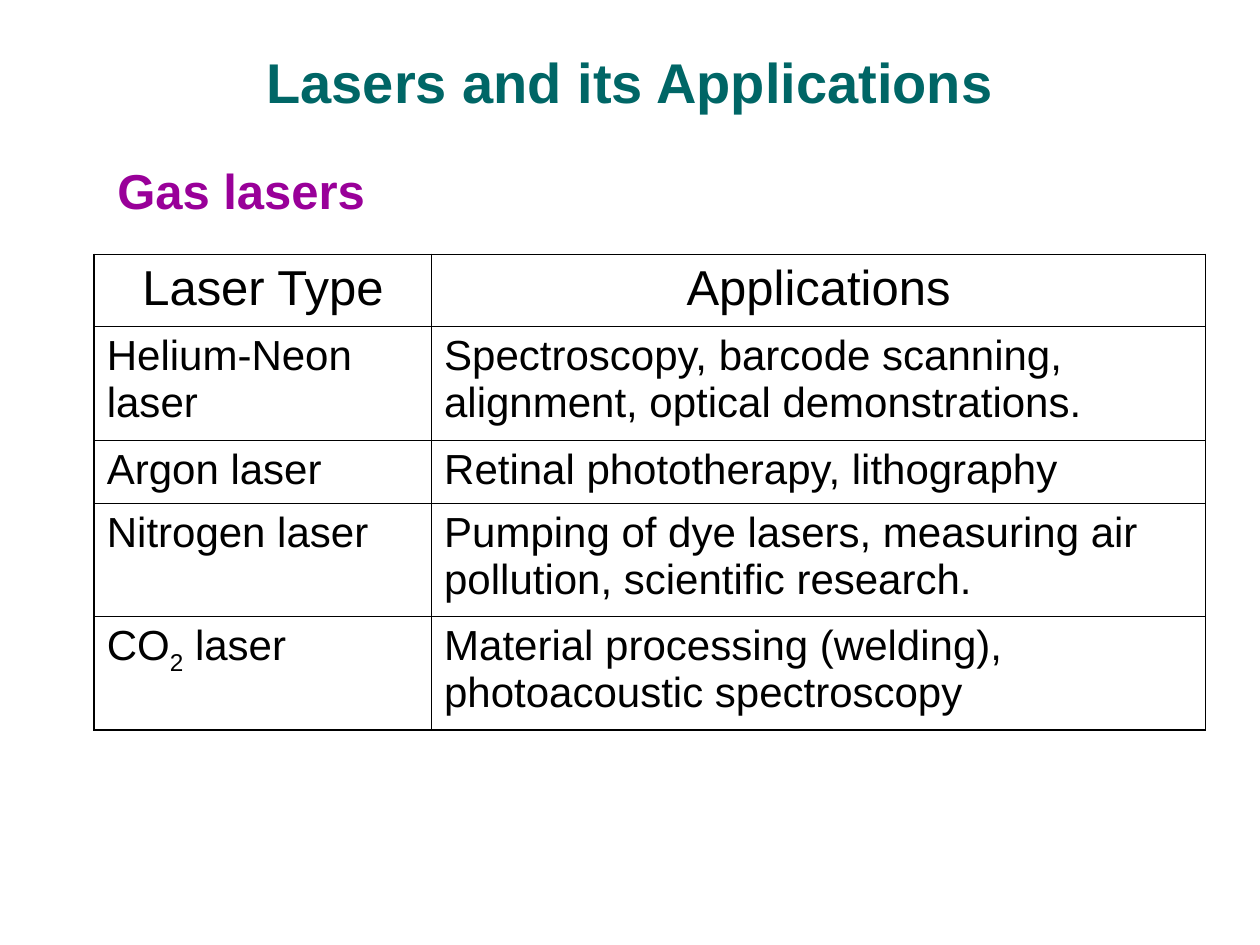
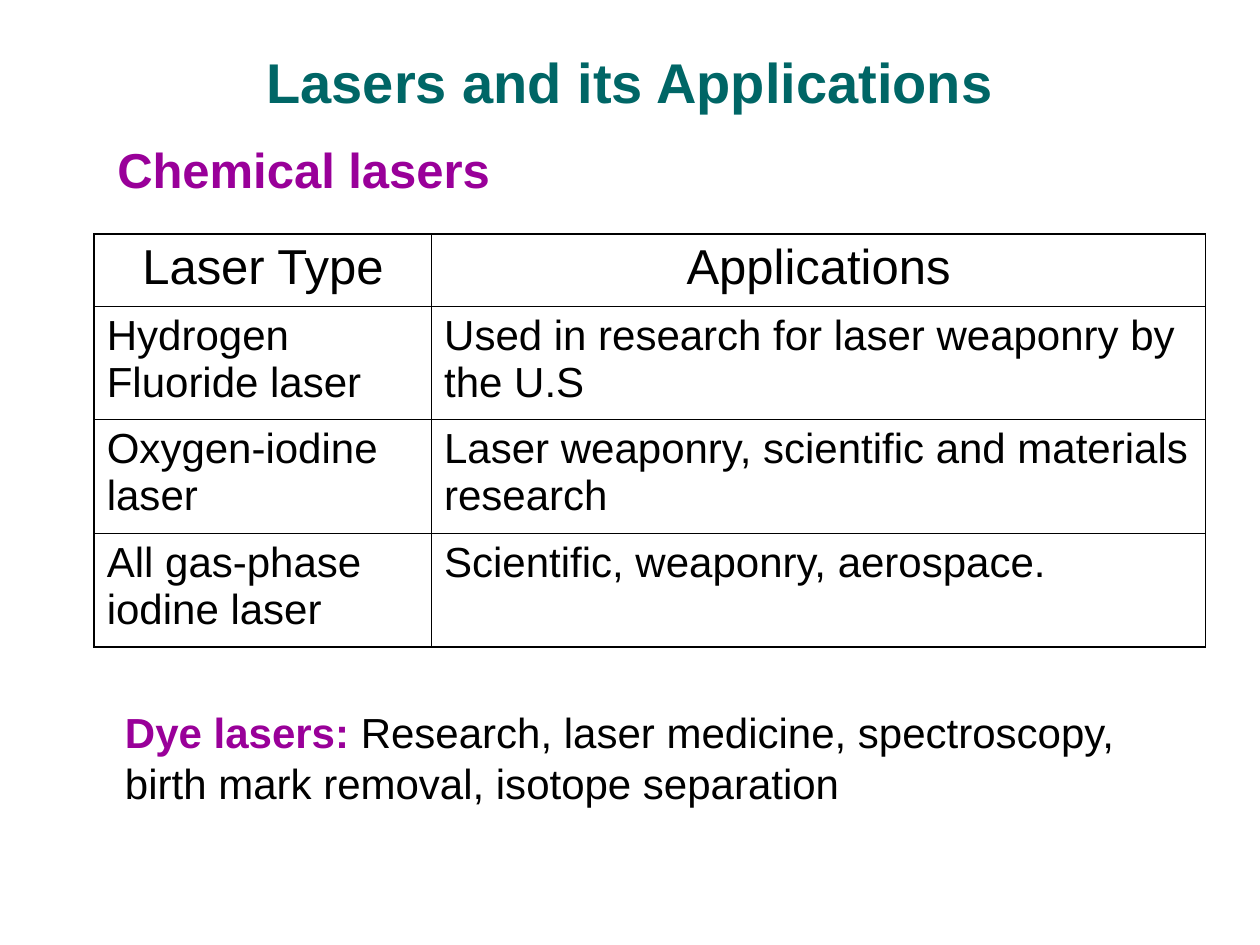
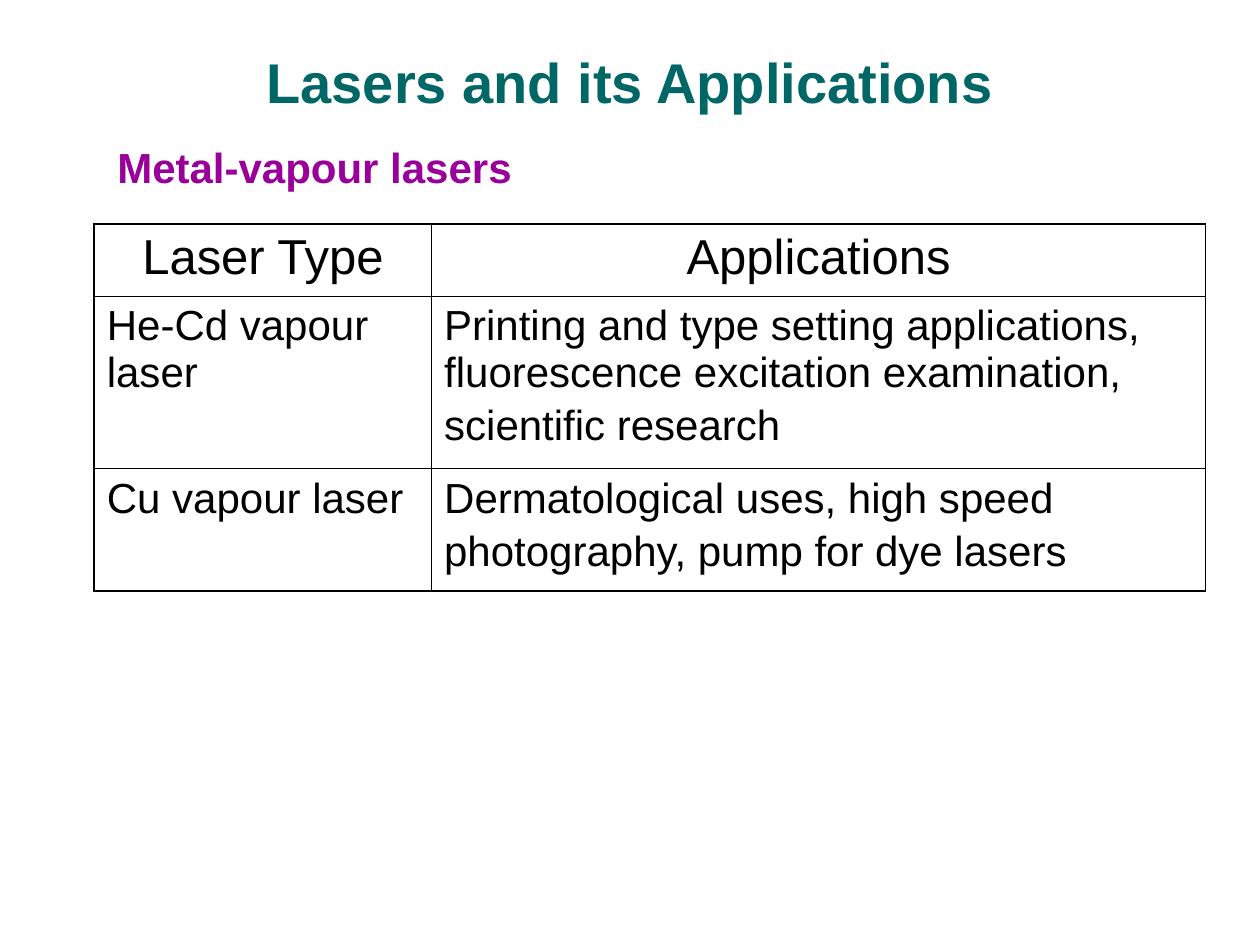
from pptx import Presentation
from pptx.dml.color import RGBColor
from pptx.enum.text import MSO_ANCHOR, MSO_AUTO_SIZE, PP_ALIGN
from pptx.oxml import parse_xml
from pptx.oxml.ns import nsdecls
from pptx.util import Cm, Pt

COLORS = {"title": "006666", "accent": "990099", "text": "000000"}
TITLE = "Lasers and its Applications"
HEADER = ("Laser Type", "Applications")
COLUMN_WIDTHS = (6.8, 15.6)
HEADER_HEIGHT = 1.45
HEADING_TO_TABLE = 1.8
OUTER_LINE, INNER_LINE = 1.08, 0.45

# Each row is height, laser type, applications; "|" separates runs.
GROUPS = [
    {
        "heading": "Gas lasers", "size": 28, "spacing": 0.8, "table_top": 5.13,
        "rows": [
            (2.29, "Helium-Neon laser",
             "Spectroscopy, barcode scanning, alignment, optical demonstrations."),
            (1.27, "Argon laser", "Retinal phototherapy, lithography"),
            (2.29, "Nitrogen laser",
             "Pumping of dye lasers, measuring air pollution, scientific research."),
            (2.29, "CO|2| laser",
             "Material processing (welding), photoacoustic spectroscopy"),
        ],
    },
    {
        "heading": "Chemical lasers", "size": 28, "spacing": 0.8, "table_top": 4.72,
        "rows": [
            (2.29, "Hydrogen Fluoride laser",
             "Used in research for laser weaponry by the U.S"),
            (2.29, "Oxygen-iodine laser",
             "Laser weaponry, scientific and materials research"),
            (2.29, "All gas-phase iodine laser", "Scientific, weaponry, aerospace."),
        ],
        "note": ("Dye lasers: ", "Research, laser medicine, spectroscopy, "
                 "birth mark removal, isotope separation"),
    },
    {
        "heading": "Metal-vapour lasers", "size": 24, "spacing": 1.0, "table_top": 4.52,
        "rows": [
            (3.48, "He-Cd vapour laser",
             "Printing and type setting applications, fluorescence excitation "
             "examination, scientific research| "),
            (2.46, "Cu vapour laser",
             "Dermatological uses, high speed photography, pump for dye lasers| "),
        ],
    },
]


def style_font(font, size, color, bold=False):
    font.name = "Arial"
    font.size = Pt(size)
    font.bold = bold
    font.color.rgb = RGBColor.from_string(COLORS[color])


def add_borders(cell, widths):
    """Draw the cell's borders; widths in points run left, right, top, bottom."""
    properties = cell._tc.get_or_add_tcPr()
    for side, width in zip("LRTB", widths):
        properties.append(parse_xml(
            f'<a:ln{side} {nsdecls("a")} w="{Pt(width)}"><a:solidFill>'
            f'<a:srgbClr val="{COLORS["text"]}"/></a:solidFill></a:ln{side}>'))


prs = Presentation()
prs.slide_width, prs.slide_height = Cm(25.4), Cm(19.05)

for group in GROUPS:
    slide = prs.slides.add_slide(prs.slide_layouts[1])

    title = slide.shapes.title
    title.left, title.top, title.width, title.height = Cm(1.27), Cm(0.76), Cm(22.86), Cm(1.75)
    title.text_frame.text = TITLE
    title.text_frame.auto_size = MSO_AUTO_SIZE.NONE
    title.text_frame.vertical_anchor = MSO_ANCHOR.MIDDLE
    title_line = title.text_frame.paragraphs[0]
    title_line.alignment = PP_ALIGN.CENTER
    style_font(title_line.runs[0].font, 32, "title", bold=True)

    heading = slide.placeholders[1]
    heading.left, heading.top = Cm(2.11), Cm(group["table_top"] - HEADING_TO_TABLE)
    heading.width, heading.height = Cm(11.23), Cm(1.27)
    heading.text_frame.text = group["heading"]
    heading.text_frame.auto_size = MSO_AUTO_SIZE.NONE
    heading_line = heading.text_frame.paragraphs[0]
    heading_properties = heading_line._p.get_or_add_pPr()
    heading_properties.set("marL", "0")
    heading_properties.set("indent", "0")
    heading_properties.append(parse_xml(f'<a:buNone {nsdecls("a")}/>'))
    heading_line.line_spacing = group["spacing"]
    heading_line.space_before = Pt(0)
    style_font(heading_line.runs[0].font, group["size"], "accent", bold=True)

    rows = [(HEADER_HEIGHT, *HEADER), *group["rows"]]
    lasers = slide.shapes.add_table(
        len(rows), len(COLUMN_WIDTHS), Cm(1.9), Cm(group["table_top"]),
        Cm(sum(COLUMN_WIDTHS)), Cm(sum(row[0] for row in rows))).table
    lasers.first_row = lasers.horz_banding = False
    for column, width in zip(lasers.columns, COLUMN_WIDTHS):
        column.width = Cm(width)

    for r, (height, *entries) in enumerate(rows):
        lasers.rows[r].height = Cm(height)
        for c, entry in enumerate(entries):
            cell = lasers.cell(r, c)
            on_edge = (c == 0, c == len(entries) - 1, r == 0, r == len(rows) - 1)
            add_borders(cell, [OUTER_LINE if edge else INNER_LINE for edge in on_edge])
            cell.fill.background()
            entry_line = cell.text_frame.paragraphs[0]
            if r == 0:
                entry_line.alignment = PP_ALIGN.CENTER
            for piece in entry.split("|"):
                run = entry_line.add_run()
                run.text = piece
                style_font(run.font, 28 if r == 0 or piece == " " else 24, "text")
                if piece == "2":
                    run._r.get_or_add_rPr().set("baseline", "-25000")

    if "note" in group:
        note = slide.shapes.add_textbox(Cm(1.3), Cm(14.12), Cm(22), Cm(3))
        note.text_frame.word_wrap = True
        note.text_frame.margin_left = Cm(1.22)
        note_line = note.text_frame.paragraphs[0]
        for piece, color, bold in zip(group["note"], ("accent", "text"), (True, False)):
            run = note_line.add_run()
            run.text = piece
            style_font(run.font, 24, color, bold)

prs.save("out.pptx")
